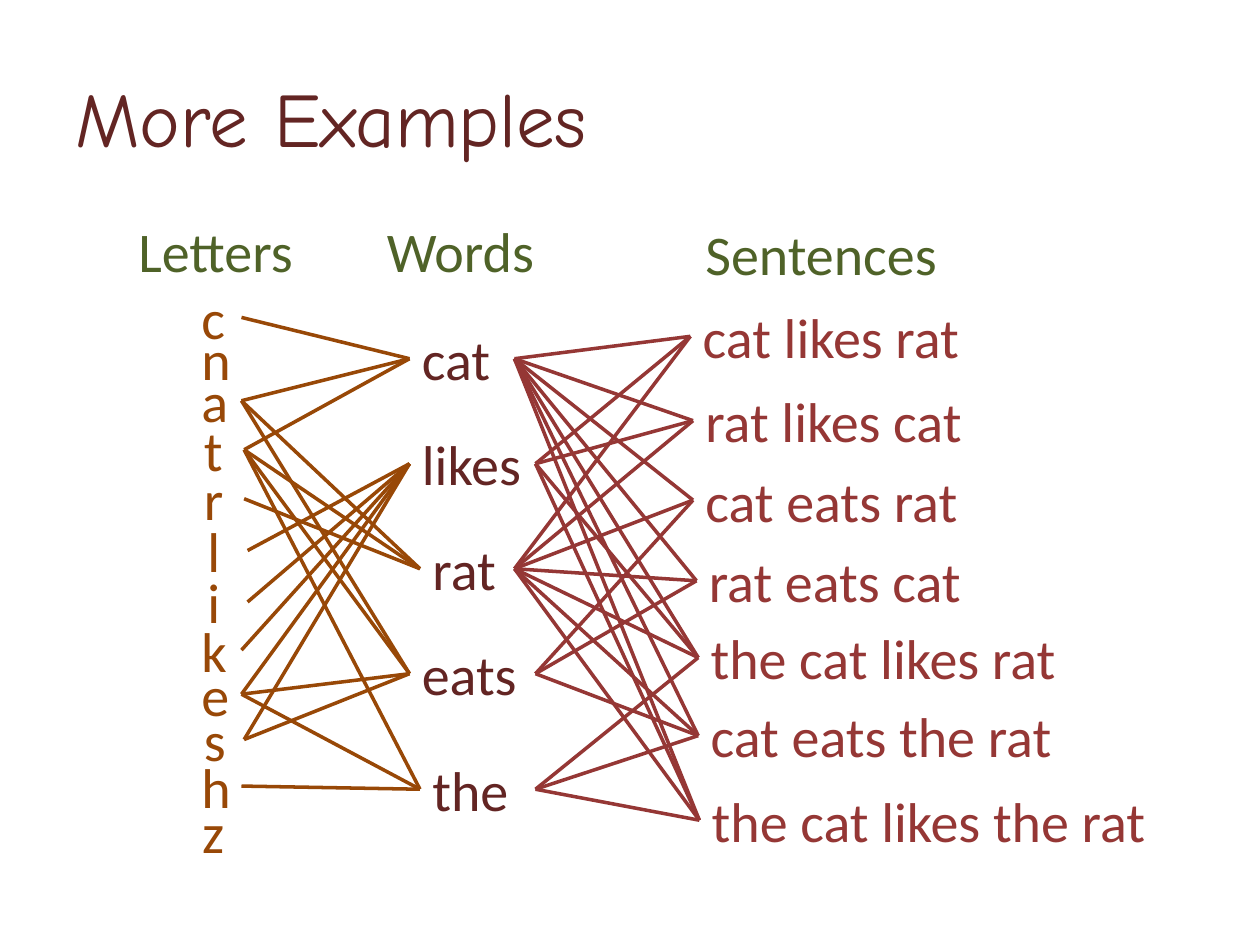
from dataclasses import dataclass

from lxml.etree import SubElement
from pptx import Presentation
from pptx.dml.color import RGBColor
from pptx.enum.shapes import MSO_CONNECTOR
from pptx.enum.text import MSO_ANCHOR, MSO_AUTO_SIZE
from pptx.oxml.ns import qn
from pptx.util import Pt

COLORS = {
    "title": "632523",
    "heading": "4F6228",
    "letter": "984807",
    "word": "632523",
    "sentence": "953735",
}
LEFT_SIDE, RIGHT_SIDE = 1, 3
ROW_HEIGHT = 46
LETTER_WIDTH = 30


@dataclass
class Label:
    text: str
    x: float
    y: float
    w: float
    color: str
    h: float = ROW_HEIGHT
    font: str = "Calibri"
    size: float = 32


TITLE = Label("More Examples", 36, 21.6, 648, "title", 90, "Comic Neue", 44)

HEADINGS = [
    Label("Letters", 72, 120, 108, "heading"),
    Label("Words", 214, 120, 108, "heading"),
    Label("Sentences", 396, 122, 150, "heading"),
]

LETTERS = [
    Label(text, x, y, LETTER_WIDTH, "letter")
    for text, x, y in [
        ("c", 108, 158.4),
        ("n", 108, 182),
        ("a", 108, 206),
        ("t", 109.5, 234),
        ("r", 109.5, 262),
        ("l", 111.5, 291.6),
        ("i", 111.5, 321),
        ("k", 108, 348.5),
        ("e", 108, 373.7),
        ("s", 109.5, 399.6),
        ("h", 108, 426.2),
        ("z", 108.5, 452.2),
    ]
]

WORDS = [
    Label("cat", 234, 182, 60, "word"),
    Label("likes", 234, 242, 72, "word"),
    Label("rat", 240, 302, 54, "word"),
    Label("eats", 234, 362, 72, "word"),
    Label("the", 240, 428, 66, "word"),
]

SENTENCES = [
    Label("cat likes rat", 394.5, 169.2, 180, "sentence"),
    Label("rat likes cat", 396, 217.4, 180, "sentence"),
    Label("cat eats rat", 396, 262.8, 180, "sentence"),
    Label("rat eats cat", 398, 308.9, 180, "sentence"),
    Label("the cat likes rat", 399, 352.8, 216, "sentence"),
    Label("cat eats the rat", 399, 397.4, 228, "sentence"),
    Label("the cat likes the rat", 399.6, 445.7, 270, "sentence"),
]


def add_label(s, label: Label):
    sp = s.shapes.add_textbox(Pt(label.x), Pt(label.y), Pt(label.w), Pt(label.h))
    tf = sp.text_frame
    tf.word_wrap = True
    if label is TITLE:
        tf.vertical_anchor = MSO_ANCHOR.MIDDLE
    else:
        tf.auto_size = MSO_AUTO_SIZE.SHAPE_TO_FIT_TEXT
    p = tf.paragraphs[0]
    p.text = label.text
    p.font.name = label.font
    p.font.size = Pt(label.size)
    p.font.color.rgb = RGBColor.from_string(COLORS[label.color])
    return sp


def add_link(s, whole, part, color: str) -> None:
    c = s.shapes.add_connector(MSO_CONNECTOR.STRAIGHT, 0, 0, 0, 0)
    c.begin_connect(whole, LEFT_SIDE)
    c.end_connect(part, RIGHT_SIDE)
    c.line.width = Pt(2)
    c.line.color.rgb = RGBColor.from_string(COLORS[color])
    SubElement(c._element.spPr, qn("a:effectLst"))


def add_column(s, labels: list[Label]) -> dict:
    return {label.text: add_label(s, label) for label in labels}


def main() -> None:
    prs = Presentation()
    prs.slide_width, prs.slide_height = Pt(720), Pt(540)
    s = prs.slides.add_slide(prs.slide_layouts[6])

    add_label(s, TITLE)
    words = add_column(s, WORDS)
    letters = add_column(s, LETTERS)
    for word, sp in words.items():
        for letter in word:
            add_link(s, sp, letters[letter], "letter")

    sentences = add_column(s, SENTENCES)
    for sentence, sp in sentences.items():
        for word in dict.fromkeys(sentence.split()):
            add_link(s, sp, words[word], "sentence")

    add_column(s, HEADINGS)
    prs.save("out.pptx")


if __name__ == "__main__":
    main()
